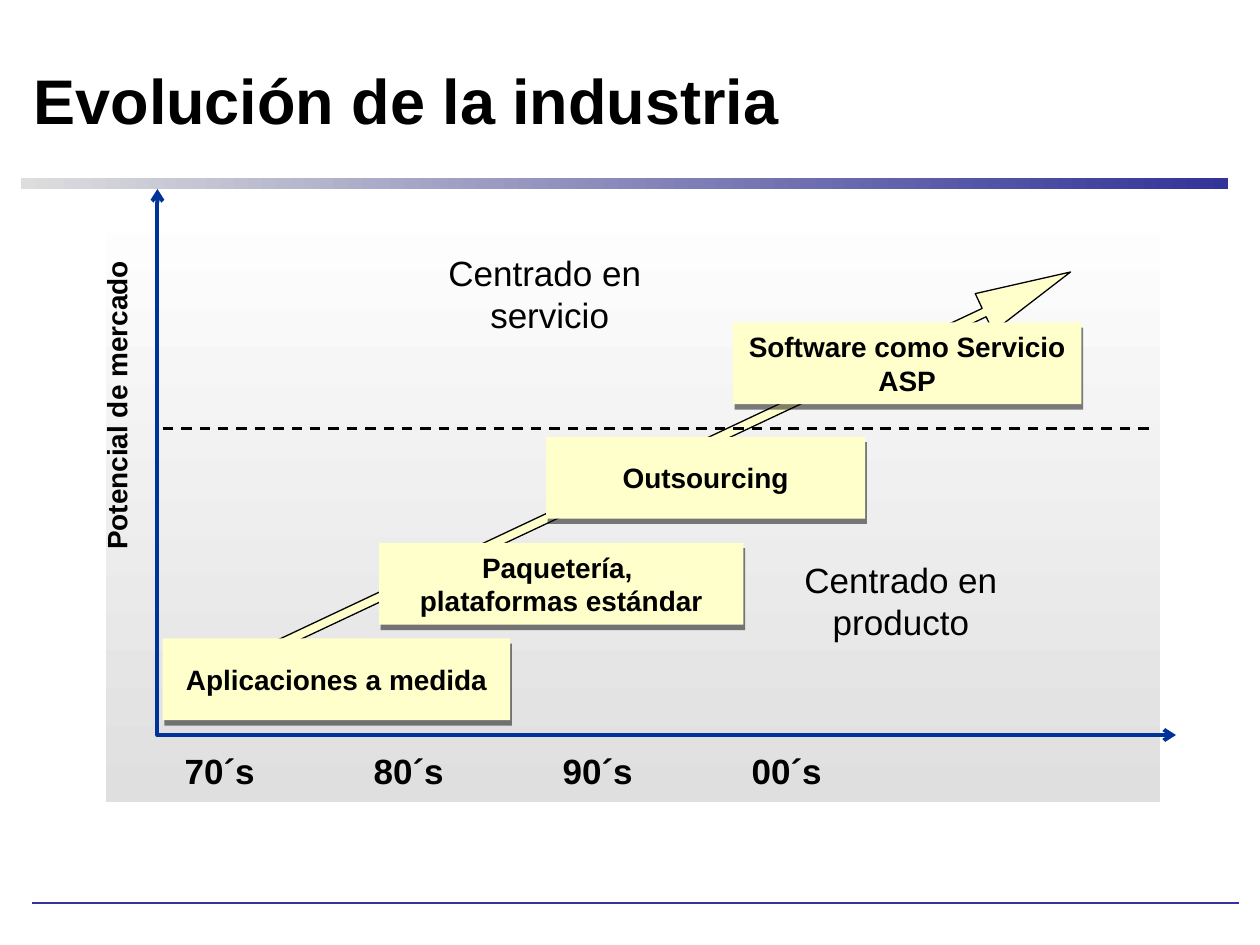
from lxml import etree
from pptx import Presentation, util as u
from pptx.dml.color import RGBColor
from pptx.enum import dml, shapes, text
from pptx.oxml import ns, parse_xml

THEME = {
    "navy": RGBColor.from_string("333399"),
    "axis": RGBColor.from_string("003399"),
    "cream": RGBColor.from_string("FFFFCC"),
    "silver": RGBColor.from_string("DDDDDD"),
    "grey": RGBColor.from_string("DFDFDF"),
    "white": RGBColor.from_string("FFFFFF"),
    "black": RGBColor.from_string("000000"),
    "title": {"size": u.Pt(36), "bold": True, "name": "Arial"},
    "area": {"size": u.Pt(20), "bold": False, "name": "Arial"},
    "year": {"size": u.Pt(20), "bold": True, "name": "Arial"},
    "label": {"size": u.Pt(16), "bold": True, "name": "Arial"},
}
LEFT, CENTER = text.PP_ALIGN.LEFT, text.PP_ALIGN.CENTER
TOP, MIDDLE, BOTTOM = text.MSO_ANCHOR.TOP, text.MSO_ANCHOR.MIDDLE, text.MSO_ANCHOR.BOTTOM

presentation = Presentation()
presentation.slide_width, presentation.slide_height = u.Inches(10), u.Inches(7.5)
slide = presentation.slides.add_slide(presentation.slide_layouts[5])
CELL = presentation.slide_width / 120


def grid(*cells):
    return [round(cell * CELL) for cell in cells]


def write(shape, lines, kind, alignment=CENTER, anchor=TOP, wrap=False):
    frame = shape.text_frame
    frame.text = "\n".join(lines)
    settings = {"word_wrap": wrap, "auto_size": text.MSO_AUTO_SIZE.NONE, "vertical_anchor": anchor}
    for name, value in settings.items():
        setattr(frame, name, value)
    for paragraph in frame.paragraphs:
        paragraph.alignment = alignment
        for run in paragraph.runs:
            for name, value in THEME[kind].items():
                setattr(run.font, name, value)
            run.font.color.rgb = THEME["black"]


title = slide.shapes.title
title.left, title.top, title.width, title.height = grid(2, 3, 98, 13)
write(title, ["Evolución de la industria"], "title", LEFT, MIDDLE, True)

gradients = [
    ((2, 17, 115, 1), "navy", "silver", 180),
    ((10.1, 18.6, 100.4, 57.8), "white", "grey", 270),
]
for place, start, end, angle in gradients:
    panel = slide.shapes.add_shape(shapes.MSO_SHAPE.RECTANGLE, *grid(*place))
    panel.shadow.inherit = False
    panel.line.fill.background()
    panel.fill.gradient()
    panel.fill.gradient_angle = angle
    for stop, color, position in zip(panel.fill.gradient_stops, (start, end), (0, 1)):
        stop.color.rgb = THEME[color]
        stop.position = position

arrow = slide.shapes.add_shape(shapes.MSO_SHAPE.RIGHT_ARROW, *grid(21, 42, 85, 4))
arrow.shadow.inherit = False
arrow.rotation = 334.8
arrow.adjustments[0], arrow.adjustments[1] = 0.22, 2.27
arrow.fill.solid()
arrow.fill.fore_color.rgb = THEME["cream"]
arrow.line.color.rgb = THEME["black"]
arrow.line.width = u.Pt(0.75)

rules = [
    ((3, 86, 118, 86), "navy", 0.75, dml.MSO_LINE.SOLID),
    ((15.5, 40.8, 110, 40.8), "black", 1.5, dml.MSO_LINE.DASH),
]
for ends, color, width, dash in rules:
    rule = slide.shapes.add_connector(shapes.MSO_CONNECTOR.STRAIGHT, *grid(*ends))
    rule.line.color.rgb = THEME[color]
    rule.line.width = u.Pt(width)
    rule.line.dash_style = dash
    etree.SubElement(rule._element.spPr, ns.qn("a:effectLst"))

stages = [
    (15.5, 60.8, 33.1, ["Aplicaciones a medida"]),
    (36.1, 51.7, 34.7, ["Paquetería, ", "plataformas estándar"]),
    (52, 41.6, 30.4, ["Outsourcing"]),
    (69.8, 30.7, 33.2, ["Software como Servicio", "ASP"]),
]
for column, row, width, lines in stages:
    stage = slide.shapes.add_shape(shapes.MSO_SHAPE.RECTANGLE, *grid(column, row, width, 7.8))
    stage.fill.solid()
    stage.fill.fore_color.rgb = THEME["cream"]
    stage.line.fill.background()
    stage.shadow.inherit = False
    stage._element.spPr.find(ns.qn("a:effectLst")).append(parse_xml(
        f'<a:outerShdw {ns.nsdecls("a")} dist="{u.Pt(3.2)}" dir="{72 * 60000}" algn="ctr" rotWithShape="0">'
        f'<a:srgbClr val="{THEME["black"]}"><a:alpha val="50000"/></a:srgbClr></a:outerShdw>'))
    write(stage, lines, "label", anchor=MIDDLE)

areas = [
    ((41.5, 23.4, 21.7, 9.2), ["Centrado en ", "servicio"]),
    ((75.4, 52.6, 20.8, 9.2), ["Centrado en", "producto"]),
]
for place, lines in areas:
    write(slide.shapes.add_textbox(*grid(*place)), lines, "area")

builder = slide.shapes.build_freeform(*grid(15, 18))
builder.add_line_segments([grid(15, 70), grid(112, 70)], close=False)
axes = builder.convert_to_shape()
axes.shadow.inherit = False
axes.fill.background()
axes.line.color.rgb = THEME["axis"]
axes.line.width = u.Pt(2.25)
for end in ("a:headEnd", "a:tailEnd"):
    etree.SubElement(axes.line._get_or_add_ln(), ns.qn(end), type="arrow")

years = slide.shapes.add_textbox(*grid(16.4, 70.8, 81.5, 5.3))
tabs = etree.SubElement(years.text_frame.paragraphs[0]._p.get_or_add_pPr(), ns.qn("a:tabLst"))
for inch in range(1, 8):
    etree.SubElement(tabs, ns.qn("a:tab"), pos=str(u.Inches(inch)), algn="l")
write(years, ["\t\t".join(["70´s", "80´s", "90´s", "00´s"])], "year", LEFT, wrap=True)

market = slide.shapes.add_textbox(*grid(-4.8, 35.5, 30.8, 5.3))
market.rotation = 270
write(market, ["Potencial de mercado"], "label", LEFT, BOTTOM)

presentation.save("out.pptx")
